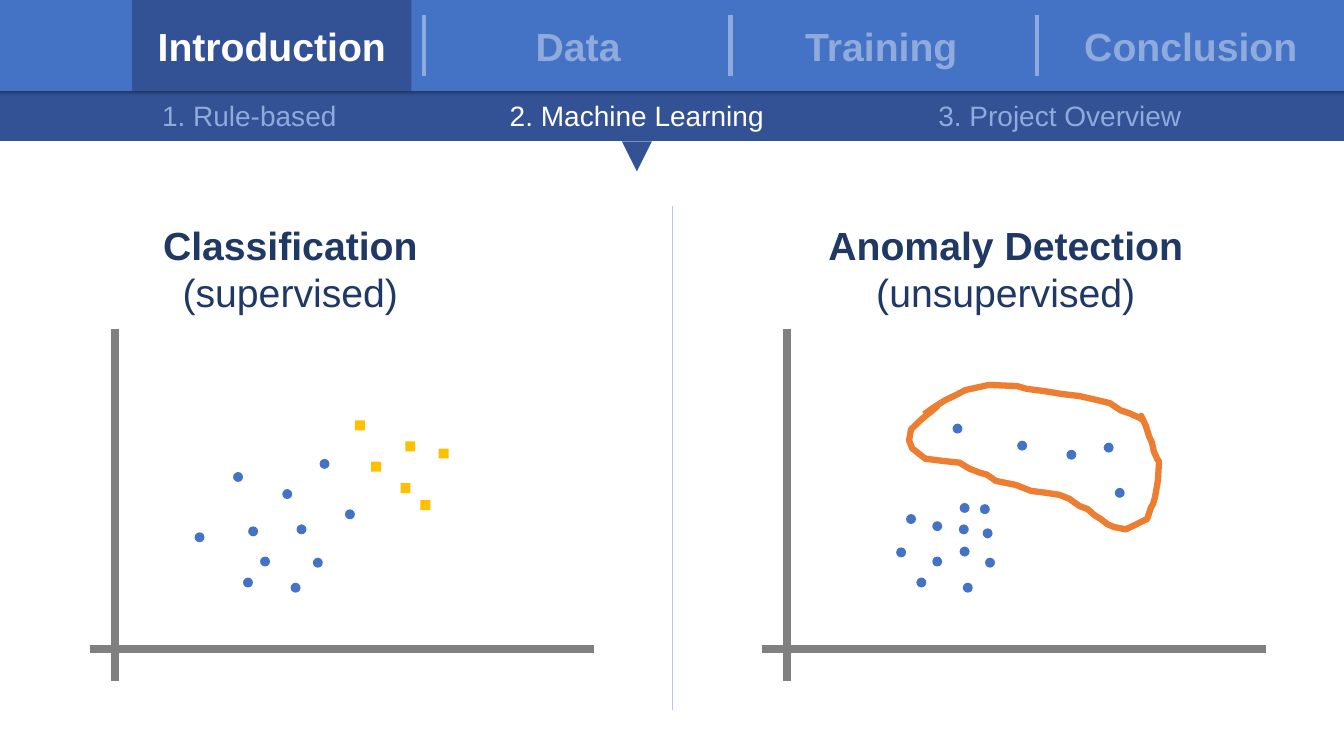
from dataclasses import dataclass

from lxml import etree
from pptx import Presentation
from pptx.dml.color import RGBColor
from pptx.enum.shapes import MSO_CONNECTOR, MSO_SHAPE
from pptx.enum.text import MSO_ANCHOR as Anchor, PP_ALIGN as Align
from pptx.oxml.ns import qn
from pptx.util import Cm, Pt

FONT = "Arial"
BLUE, NAVY, DEEP, PALE = "4472C4", "335295", "203864", "8FAADC"
WHITE, GOLD, ORANGE, GREY, DIVIDER = "FFFFFF", "FFC000", "ED7D31", "808080", "B4C7E7"
WIDTH, HEIGHT = 33.87, 19.05
TAB_W, TAB_H, SUB_H = 7.04, 2.29, 1.27
DOT = 0.25
AXIS_Y = 16.36

Points = list[tuple[float, float]]


@dataclass
class Label:
    text: str
    x: float
    w: float
    active: bool = False


@dataclass
class Heading:
    title: str
    note: str
    x: float
    w: float


@dataclass
class Series:
    kind: MSO_SHAPE
    color: str
    points: Points  # dot centres, measured from the crossing of the axes


@dataclass
class Plot:
    x: float
    series: list[Series]


TABS = [
    Label("Introduction", 3.33, TAB_W, True),
    Label("Data", 11.05, TAB_W),
    Label("Training", 18.69, TAB_W),
    Label("Conclusion", 26.49, TAB_W),
]
SECTIONS = [
    Label("1. Rule-based", 3.81, 4.95),
    Label("2. Machine Learning", 12.57, 6.96, True),
    Label("3. Project Overview", 23.37, 6.68),
]
HEADINGS = [
    Heading("Classification", "(supervised)", 3.81, 7.01),
    Heading("Anomaly Detection", "(unsupervised)", 20.57, 9.55),
]
PLOTS = [
    Plot(2.9, [
        Series(MSO_SHAPE.OVAL, BLUE, [
            (4.34, 3.91), (3.48, 2.97), (3.78, 2.21), (3.1, 4.34),
            (4.7, 3.02), (3.35, 1.68), (4.55, 1.55), (5.28, 4.67),
            (5.92, 3.4), (2.13, 2.82), (5.11, 2.18)]),
        Series(MSO_SHAPE.RECTANGLE, GOLD, [
            (6.17, 5.64), (6.58, 4.6), (7.44, 5.11),
            (7.32, 4.06), (8.28, 4.93), (7.82, 3.63)]),
    ]),
    Plot(19.84, [
        Series(MSO_SHAPE.OVAL, BLUE, [
            (3.78, 3.1), (2.87, 2.44), (3.78, 2.21), (3.12, 3.28),
            (4.47, 2.46), (3.38, 1.68), (4.55, 1.55), (4.47, 3.56),
            (5.05, 2.92), (4.45, 3.02), (4.98, 3.53), (5.11, 2.18),
            (4.29, 5.56), (5.92, 5.13), (7.16, 4.9), (8.38, 3.94),
            (8.1, 5.08)]),
    ]),
]
ANOMALY_OUTLINE = [
    (23.29, 10.44), (23.5, 10.29), (23.7, 10.16), (23.83, 10.08), (24.08, 9.96),
    (24.33, 9.83), (24.56, 9.78), (24.92, 9.7), (25.63, 9.73), (25.88, 9.8),
    (26.34, 9.86), (26.77, 9.93), (27.2, 9.98), (27.64, 10.08), (27.97, 10.16),
    (28.24, 10.34), (28.45, 10.41), (28.7, 10.52), (28.78, 10.57), (28.76, 10.48),
    (28.88, 10.74), (28.96, 11), (29.03, 11.15), (29.08, 11.38), (29.16, 11.56),
    (29.21, 11.63), (29.18, 12.12), (29.11, 12.52), (29.06, 12.7), (29.01, 12.78),
    (28.91, 13.08), (28.8, 13.13), (28.6, 13.23), (28.37, 13.34), (28.07, 13.28),
    (27.91, 13.21), (27.74, 13.08), (27.58, 12.98), (27.41, 12.83), (27.2, 12.75),
    (26.95, 12.57), (26.7, 12.47), (26.37, 12.42), (25.98, 12.37), (25.6, 12.22),
    (25.35, 12.17), (25.1, 12.12), (24.87, 11.96), (24.69, 11.91), (24.43, 11.81),
    (24.18, 11.66), (23.72, 11.61), (23.32, 11.56), (22.99, 11.3), (22.91, 11.1),
    (22.96, 10.82), (23.22, 10.57), (23.44, 10.39), (23.62, 10.24), (23.42, 10.41),
]


def rgb(color: str) -> RGBColor:
    return RGBColor.from_string(color)


def add_box(shapes, kind: MSO_SHAPE, x: float, y: float, w: float, h: float, color: str):
    sp = shapes.add_shape(kind, Cm(x), Cm(y), Cm(w), Cm(h))
    sp.shadow.inherit = False
    sp.fill.solid()
    sp.fill.fore_color.rgb = rgb(color)
    sp.line.fill.background()
    return sp


def add_line(shapes, x1: float, y1: float, x2: float, y2: float, color: str, width: float):
    ln = shapes.add_connector(MSO_CONNECTOR.STRAIGHT, Cm(x1), Cm(y1), Cm(x2), Cm(y2))
    ln.line.color.rgb = rgb(color)
    ln.line.width = Pt(width)
    etree.SubElement(ln._element.spPr, qn("a:effectLst"))
    return ln


def add_text(shapes, text: str, x: float, y: float, w: float, h: float, *,
             size: float, color: str, bold: bool = False, anchor: Anchor = Anchor.TOP):
    tb = shapes.add_textbox(Cm(x), Cm(y), Cm(w), Cm(h))
    tf = tb.text_frame
    tf.word_wrap = False
    tf.vertical_anchor = anchor
    tf.text = text
    for p in tf.paragraphs:
        p.alignment = Align.CENTER
        for r in p.runs:
            r.font.name, r.font.size, r.font.bold = FONT, Pt(size), bold
            r.font.color.rgb = rgb(color)
    return tb


def add_navigation(shapes) -> None:
    # Bars: the lower one darkens towards its top edge
    add_box(shapes, MSO_SHAPE.RECTANGLE, 0, 0, WIDTH, TAB_H, BLUE)
    bar = add_box(shapes, MSO_SHAPE.RECTANGLE, 0, TAB_H, WIDTH, SUB_H, NAVY)
    bar.fill.gradient()
    bar.fill.gradient_angle = 90
    for stop, (pos, color) in zip(bar.fill.gradient_stops, [(0.9, NAVY), (1, DEEP)]):
        stop.position = pos
        stop.color.rgb = rgb(color)

    # Tabs and the separators between them
    for i in range(len(TABS) - 1):
        x = 10.69 + 7.72 * i
        add_line(shapes, x, 0.38, x, 1.91, PALE, 3)
    for tab in TABS:
        if tab.active:
            add_box(shapes, MSO_SHAPE.RECTANGLE, tab.x, 0, tab.w, TAB_H, NAVY)
        add_text(shapes, tab.text, tab.x, 0, tab.w, TAB_H, size=28, bold=True,
                 color=WHITE if tab.active else PALE, anchor=Anchor.MIDDLE)

    # Sections, with a pointer under the current one
    for sec in SECTIONS:
        add_text(shapes, sec.text, sec.x, 2.36, sec.w, 1.12, size=20,
                 color=WHITE if sec.active else PALE)
        if sec.active:
            side = 0.76
            pointer = add_box(shapes, MSO_SHAPE.ISOSCELES_TRIANGLE,
                              sec.x + (sec.w - side) / 2, TAB_H + SUB_H, side, side, NAVY)
            pointer.rotation = 180


def add_heading(shapes, head: Heading) -> None:
    tb = add_text(shapes, f"{head.title}\n{head.note}", head.x, 5.46, head.w, 2.64,
                  size=28, color=DEEP, bold=True)
    tb.text_frame.paragraphs[1].runs[0].font.bold = False


def add_plot(shapes, plot: Plot) -> None:
    group = shapes.add_group_shape().shapes
    add_line(group, plot.x, 8.28, plot.x, 17.17, GREY, 6)
    add_line(group, plot.x - 0.63, AXIS_Y, plot.x + 12.07, AXIS_Y, GREY, 6)
    for series in plot.series:
        for dx, dy in series.points:
            add_box(group, series.kind, plot.x + dx - DOT / 2, AXIS_Y - dy - DOT / 2,
                    DOT, DOT, series.color)


def add_outline(shapes, points: Points, color: str, width: float) -> None:
    grid = [(round(x * 100), round(y * 100)) for x, y in points]
    builder = shapes.build_freeform(*grid[0], scale=Cm(1) / 100)
    builder.add_line_segments(grid[1:], close=False)
    sp = builder.convert_to_shape()
    sp.shadow.inherit = False
    sp.fill.background()
    sp.line.color.rgb = rgb(color)
    sp.line.width = Pt(width)


def main() -> None:
    prs = Presentation()
    prs.slide_width, prs.slide_height = Cm(WIDTH), Cm(HEIGHT)
    s = prs.slides.add_slide(prs.slide_layouts[6])

    add_navigation(s.shapes)
    add_line(s.shapes, WIDTH / 2, 5.18, WIDTH / 2, 17.88, DIVIDER, 0.25)
    for head in HEADINGS:
        add_heading(s.shapes, head)
    add_outline(s.shapes, ANOMALY_OUTLINE, ORANGE, 4.5)
    for plot in PLOTS:
        add_plot(s.shapes, plot)

    prs.save("out.pptx")


if __name__ == "__main__":
    main()
